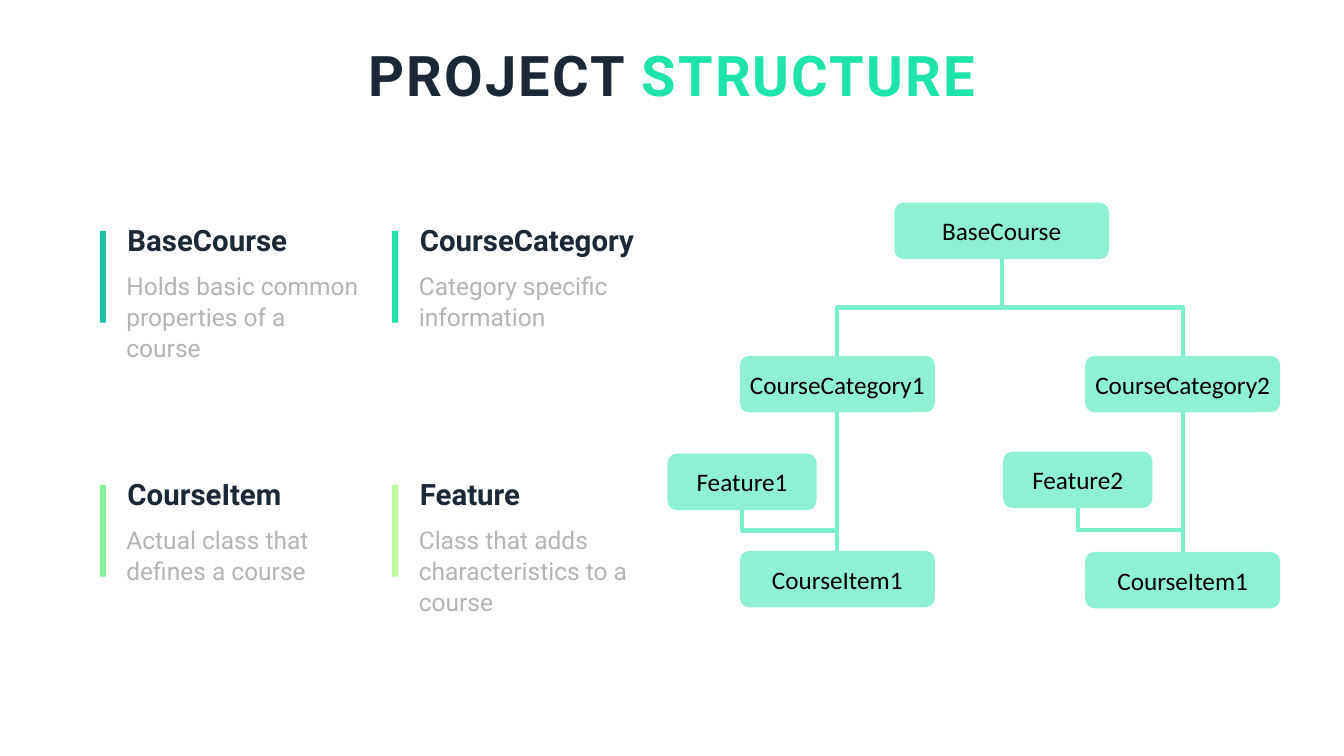
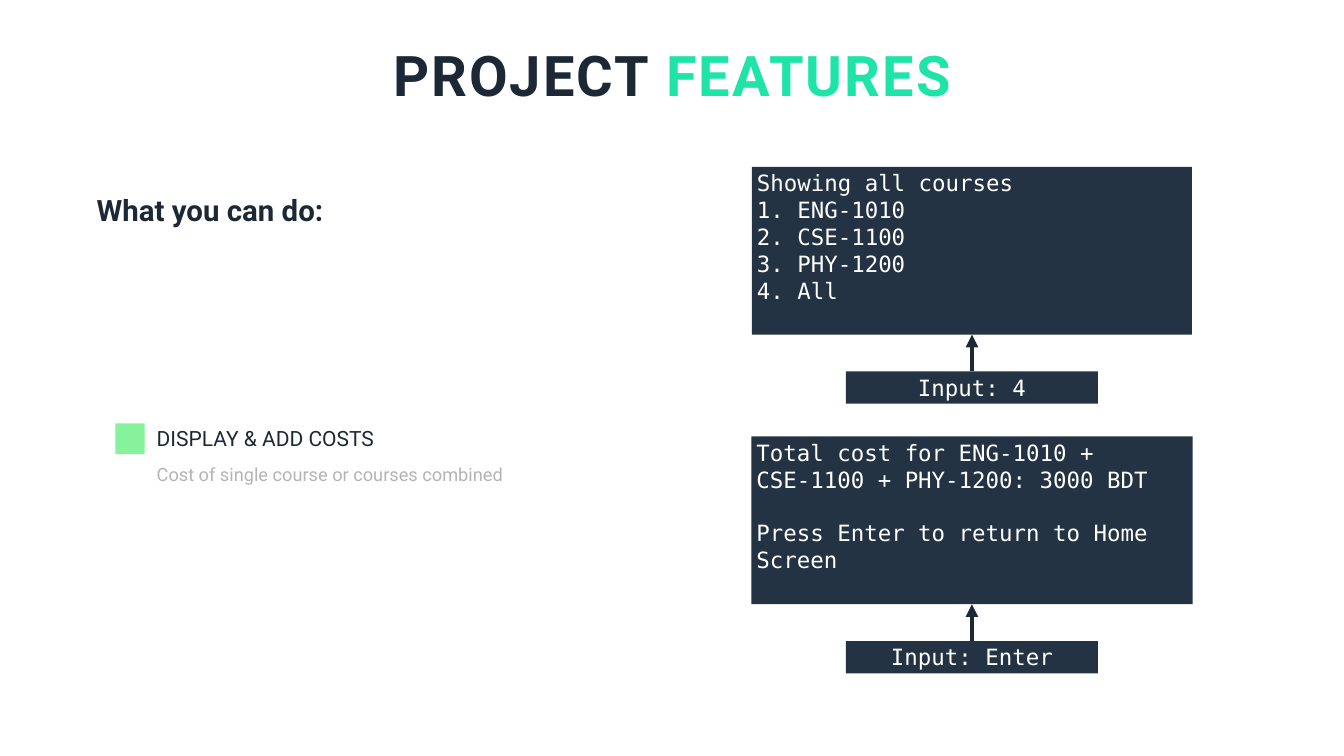
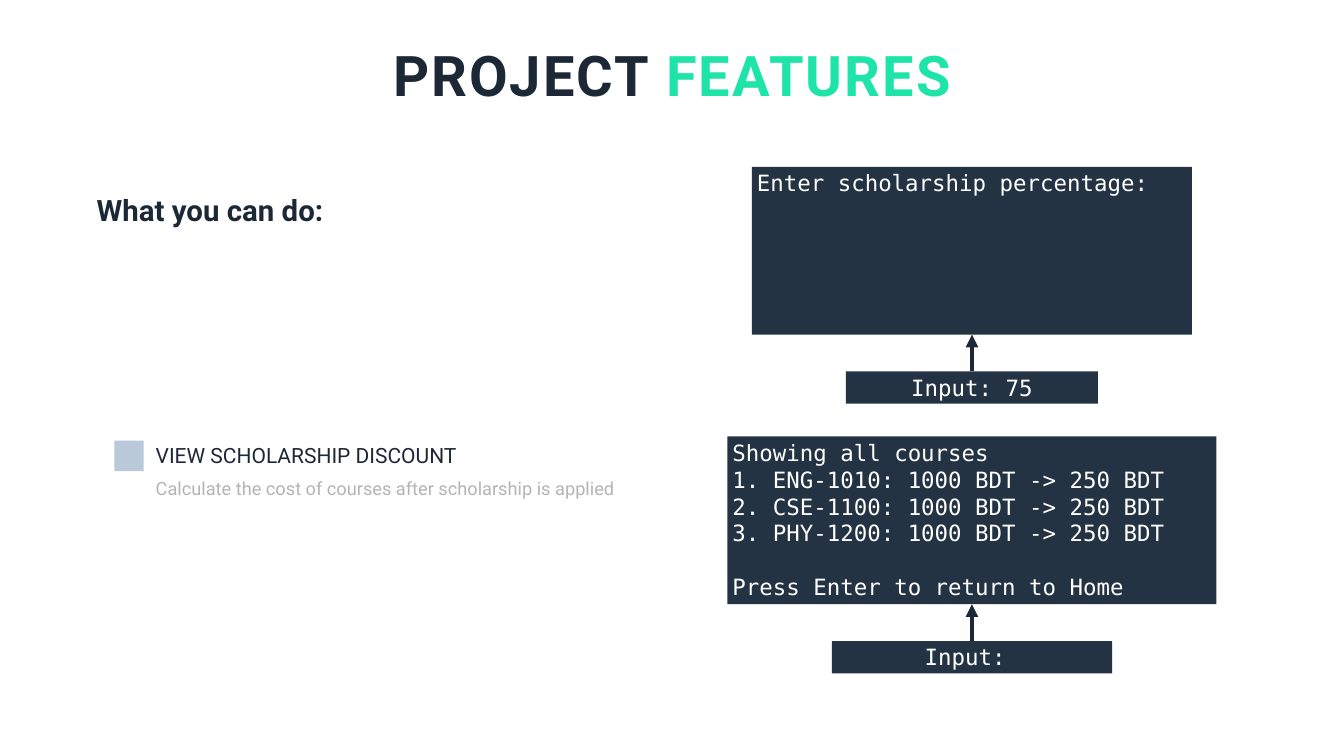
from dataclasses import dataclass

import lxml.etree
import pptx
import pptx.dml.color
import pptx.enum.shapes
import pptx.enum.text
import pptx.oxml.ns
import pptx.util

SHAPE = pptx.enum.shapes.MSO_SHAPE
LINK = pptx.enum.shapes.MSO_CONNECTOR
ANCHOR = pptx.enum.text.MSO_ANCHOR
ALIGN = pptx.enum.text.PP_ALIGN
FIT = pptx.enum.text.MSO_AUTO_SIZE
Inches, Pt = pptx.util.Inches, pptx.util.Pt
qn = pptx.oxml.ns.qn


@dataclass(frozen=True)
class Theme:
    wide: float = 26.66
    high: float = 15
    ink: str = "1C2835"
    mint: str = "1FE4A9"
    link: str = "79EFCB"
    grey: str = "B4B4B4"
    dark: str = "233343"
    white: str = "FFFFFF"
    black: str = "000000"
    sans: str = "Roboto"
    mono: str = "DejaVu Sans Mono"
    label: str = "Calibri"
    title: float = 80
    head: float = 42
    node: float = 36
    body: float = 35
    code: float = 32
    item: float = 30
    note: float = 26
    lead: float = 44.4   # line pitch of grey text
    gap: float = 38      # one empty line of code
    stroke: float = 6


T = Theme()

# column, row, heading, heading width, text, text height, bar colour
CARDS = [
    (0, 0, "BaseCourse", 3.4, "Holds basic common properties of a course", 1.92, "1EBFA4"),
    (1, 0, "CourseCategory", 4.49, "Category specific information", 1.3, "1FE4A9"),
    (0, 1, "CourseItem", 3.35, "Actual class that defines a course", 1.3, "84F39B"),
    (1, 1, "Feature", 2.22, "Class that adds characteristics to a course", 1.92, "BBFB9B"),
]

# key: label, centre, top, width
LEFT, RIGHT = 16.61, 23.46
NODES = {
    "base": ("BaseCourse", 19.87, 4.02, 4.26),
    "cat1": ("CourseCategory1", LEFT, 7.06, 3.87),
    "cat2": ("CourseCategory2", RIGHT, 7.06, 3.87),
    "feat1": ("Feature1", 14.72, 9, 2.96),
    "feat2": ("Feature2", 21.38, 8.96, 2.96),
    "item1": ("CourseItem1", LEFT, 10.93, 3.87),
    "item2": ("CourseItem1", RIGHT, 10.95, 3.87),
}
LINKS = [("base", "cat1"), ("base", "cat2"), ("feat1", "item1"),
         ("feat2", "item2"), ("cat1", "item1"), ("cat2", "item2")]

# "screens": lines, width, input, input width; an empty line is a gap
FEATURES = [
    {"name": "DISPLAY & ADD COSTS", "width": 4.57, "at": (2.29, 8.4), "drop": 0.55,
     "note": "Cost of single course or courses combined", "color": "84F39B",
     "screens": [
         (["Showing all courses", "1. ENG-1010", "2. CSE-1100", "3. PHY-1200", "4. All"],
          8.73, "Input: 4", 5),
         (["Total cost for ENG-1010 + CSE-1100 + PHY-1200: 3000 BDT", "",
           "Press Enter to return to Home Screen"], 8.75, "Input: Enter", 5)]},
    {"name": "VIEW SCHOLARSHIP DISCOUNT", "width": 6.23, "at": (2.27, 8.74), "drop": 0.49,
     "note": "Calculate the cost of courses after scholarship is applied", "color": "B9C9DA",
     "screens": [
         (["Enter scholarship percentage:"], 8.73, "Input: 75", 5),
         (["Showing all courses", "1. ENG-1010: 1000 BDT -> 250 BDT",
           "2. CSE-1100: 1000 BDT -> 250 BDT", "3. PHY-1200: 1000 BDT -> 250 BDT", "",
           "Press Enter to return to Home Screen"], 9.7, "Input: ", 5.56)]},
]


def rgb(color):
    return pptx.dml.color.RGBColor.from_string(color)


def style(run, font, size, color, bold=False):
    run.font.name, run.font.size, run.font.bold = font, Pt(size), bold
    run.font.color.rgb = rgb(color)


def write(frame, lines, font, size, color, bold=False, align=ALIGN.LEFT):
    """Fill a frame with paragraphs; an empty line becomes space before the next."""
    space, para = 0, None
    for line in lines:
        if not line:
            space += T.gap
            continue
        para = frame.add_paragraph() if para else frame.paragraphs[0]
        para.text, para.alignment = line, align
        if space:
            para.space_before, space = Pt(space), 0
        style(para.runs[0], font, size, color, bold)


def text(slide, box, line, size, color, bold=False, wrap=False):
    frame = slide.shapes.add_textbox(*map(Inches, box)).text_frame
    frame.word_wrap, frame.auto_size = wrap, FIT.SHAPE_TO_FIT_TEXT
    write(frame, [line], T.sans, size, color, bold)
    if wrap:
        frame.paragraphs[0].line_spacing = Pt(T.lead)


def block(shapes, box, color, kind=SHAPE.RECTANGLE):
    shape = shapes.add_shape(kind, *map(Inches, box))
    shape.shadow.inherit = False
    shape.fill.solid()
    shape.fill.fore_color.rgb = rgb(color)
    shape.line.fill.background()
    shape.text_frame.word_wrap = True
    return shape


def join(shapes, kind, start, end, color):
    line = shapes.add_connector(kind, *map(Inches, (*start, *end)))
    line.line.color.rgb, line.line.width = rgb(color), Pt(T.stroke)
    props = line._element.spPr
    lxml.etree.SubElement(props, qn("a:effectLst"))
    return props


def elbow(shapes, start, end):
    """Bent link that leaves and arrives vertically: a turned bent connector."""
    (x1, y1), (x2, y2) = start, end
    mid, row = (x1 + x2) / 2, (y1 + y2) / 2
    half, rise = (y2 - y1) / 2, abs(x2 - x1) / 2
    side = 1 if x2 >= x1 else -1
    props = join(shapes, LINK.ELBOW, (mid + side * half, row - rise),
                 (mid - side * half, row + rise), T.link)
    props.find(qn("a:xfrm")).set("rot", str((270 if side > 0 else 90) * 60000))


def page(deck, word, width):
    slide = deck.slides.add_slide(deck.slide_layouts[6])
    box = ((T.wide - width) / 2, 0.8, width, 1.35)
    frame = slide.shapes.add_textbox(*map(Inches, box)).text_frame
    frame.margin_left = frame.margin_right = frame.margin_top = frame.margin_bottom = 0
    frame.word_wrap, frame.auto_size = False, FIT.SHAPE_TO_FIT_TEXT
    frame.vertical_anchor = ANCHOR.MIDDLE
    para = frame.paragraphs[0]
    para.alignment = ALIGN.CENTER
    for part, color in (("PROJECT ", T.ink), (word, T.mint)):
        run = para.add_run()
        run.text = part
        style(run, T.sans, T.title, color, True)
        run.font._element.set("spc", "300")
    return slide


def card(slide, col, row, head, width, body, height, color):
    x, y = 1.98 + 5.8 * col, 4.35 + 5.04 * row
    block(slide.shapes, (x, y + 0.23, 0.12, 1.82), color)
    text(slide, (x + 0.45, y, width, 0.81), head, T.head, T.ink, True)
    text(slide, (x + 0.43, y + 0.94, 4.83, height), body, T.body, T.grey, wrap=True)


def tree(slide):
    high = 1.12
    for name, mid, top, width in NODES.values():
        node = block(slide.shapes, (mid - width / 2, top, width, high), T.mint,
                     SHAPE.ROUNDED_RECTANGLE)
        tint = node._element.spPr.find(qn("a:solidFill"))[0]
        lxml.etree.SubElement(tint, qn("a:alpha")).set("val", "50000")
        node.text_frame.vertical_anchor = ANCHOR.MIDDLE
        write(node.text_frame, [name], T.label, T.node, T.black, align=ALIGN.CENTER)
    for upper, lower in LINKS:
        _, x1, top, _ = NODES[upper]
        _, x2, end, _ = NODES[lower]
        elbow(slide.shapes, (x1, top + high), (x2, end))


def screen(slide, row, lines, width, entry, span):
    """Console output with the typed input below, pointing up at it."""
    mid, top, high = 19.28, 3.31 + 5.35 * row, 3.33
    bar = top + 4.06
    shapes = slide.shapes.add_group_shape().shapes
    for box, words, align in (
            ((mid - width / 2, top, width, high), lines, ALIGN.LEFT),
            ((mid - span / 2, bar, span, 0.64), [entry], ALIGN.CENTER)):
        frame = block(shapes, box, T.dark).text_frame
        frame.vertical_anchor = ANCHOR.TOP
        write(frame, words, T.mono, T.code, T.white, align=align)
    props = join(shapes, LINK.STRAIGHT, (mid, bar), (mid, top + high), T.ink)
    lxml.etree.SubElement(props.find(qn("a:ln")), qn("a:tailEnd")).set("type", "triangle")


def feature(deck, data):
    slide = page(deck, "FEATURES", 11.33)
    text(slide, (1.82, 3.76, 4.74, 0.81), "What you can do:", T.head, T.ink, True)
    for row, part in enumerate(data["screens"]):
        screen(slide, row, *part)
    x, y = data["at"]
    block(slide.shapes, (x, y, 0.58, 0.61), data["color"])
    text(slide, (x + 0.72, y, data["width"], 0.61), data["name"], T.item, T.ink)
    text(slide, (x + 0.72, y + data["drop"], 9.5, 0.65), data["note"], T.note, T.grey, wrap=True)


def main():
    deck = pptx.Presentation()
    deck.slide_width, deck.slide_height = Inches(T.wide), Inches(T.high)
    slide = page(deck, "STRUCTURE", 12.26)
    for part in CARDS:
        card(slide, *part)
    tree(slide)
    for data in FEATURES:
        feature(deck, data)
    deck.save("out.pptx")


if __name__ == "__main__":
    main()
